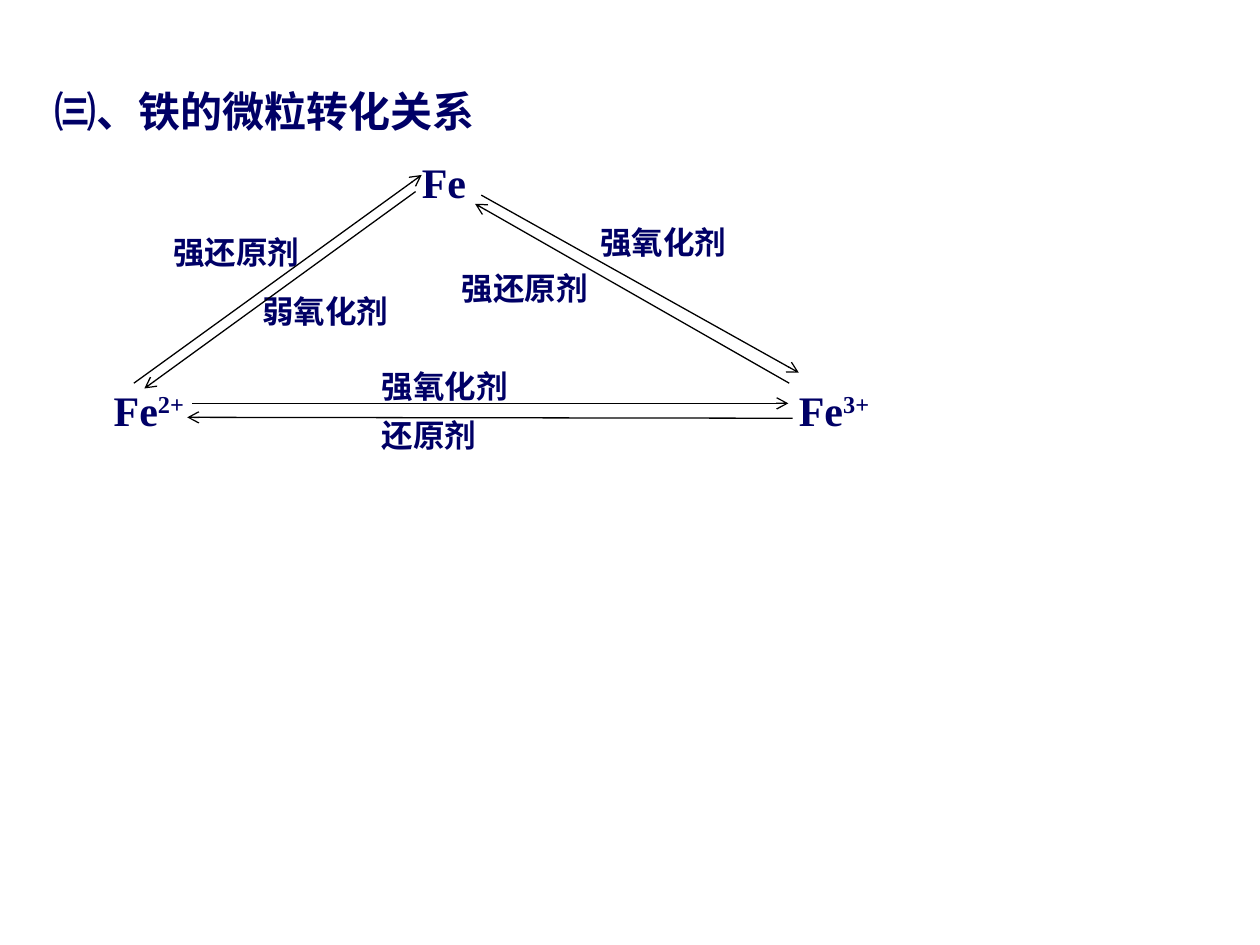
from pptx import Presentation
from pptx.dml.color import RGBColor as RGB
from pptx.enum.shapes import MSO_CONNECTOR as CONN, MSO_SHAPE as SHAPE
from pptx.enum.text import MSO_ANCHOR as ANCHOR, PP_ALIGN as ALIGN
from pptx.oxml.ns import qn
from pptx.util import Pt
from lxml.etree import SubElement

COLORS = {"text": "000066", "box": "FFFFFF", "line": "000000"}
TITLE = "㈢、铁的微粒转化关系"
TITLE_BOX = (24, 18, 672, 90)

# text, superscript, (left, top, width, height)
PARTICLES = [
    ("Fe", "", (241, 83, 34, 34)),
    ("Fe", "3+", (456.5, 213, 57, 40)),
    ("Fe", "2+", (65, 213, 45, 34)),
]
REAGENTS = [
    ("强还原剂", "", (99, 128, 85, 28)),
    ("弱氧化剂", "", (150, 162, 91, 34)),
    ("强还原剂", "", (264, 149, 73.5, 24.5)),
    ("强氧化剂", "", (218, 204.5, 73.5, 23)),
    ("强氧化剂", "", (343, 122.5, 73.5, 28)),
    ("还原剂", "", (218, 232.5, 57, 27)),
]
# tail x, tail y, point x, point y
ARROWS = [
    (275, 111.5, 456.5, 213),
    (451, 219, 271.5, 116.5),
    (110, 230.5, 450.5, 230.5),
    (453, 239, 107, 238.5),
    (76.5, 219, 241, 100),
    (237.5, 109.5, 82.5, 222),
]


def set_all(obj, values):
    for name, value in values.items():
        setattr(obj, name, value)


def place(sp, box):
    set_all(sp, dict(zip(("left", "top", "width", "height"), map(Pt, box))))


def add_run(p, text, size, font):
    r = p.add_run()
    r.text = text
    set_all(r.font, {"size": Pt(size), "name": font, "bold": True})
    r.font.color.rgb = RGB.from_string(COLORS["text"])
    return r


def add_label(s, text, sup, box, size):
    sp = s.shapes.add_shape(SHAPE.RECTANGLE, *map(Pt, box))
    sp.shadow.inherit = False
    sp.fill.solid()
    sp.fill.fore_color.rgb = RGB.from_string(COLORS["box"])
    sp.line.fill.background()
    tf = sp.text_frame
    set_all(tf, {"margin_left": 0, "margin_right": 0, "margin_top": Pt(0.7),
                 "margin_bottom": Pt(0.7), "word_wrap": True,
                 "vertical_anchor": ANCHOR.TOP})
    p = tf.paragraphs[0]
    set_all(p, {"alignment": ALIGN.JUSTIFY, "line_spacing": 1.2})
    add_run(p, text, size, "Times New Roman")
    if sup:
        r = add_run(p, sup, size, "Times New Roman")
        r.font._element.set("baseline", "30000")


def add_arrow(s, ends):
    line = s.shapes.add_connector(CONN.STRAIGHT, *map(Pt, ends))
    line.line.width = Pt(0.75)
    line.line.color.rgb = RGB.from_string(COLORS["line"])
    SubElement(line.line._get_or_add_ln(), qn("a:tailEnd"), type="arrow")
    SubElement(line._element.spPr, qn("a:effectLst"))


def main():
    prs = Presentation()
    set_all(prs, {"slide_width": Pt(720), "slide_height": Pt(540)})
    s = prs.slides.add_slide(prs.slide_layouts[5])

    title = s.shapes.title
    place(title, TITLE_BOX)
    set_all(title.text_frame, {"vertical_anchor": ANCHOR.MIDDLE, "word_wrap": True})
    p = title.text_frame.paragraphs[0]
    p.alignment = ALIGN.LEFT
    add_run(p, TITLE, 24, "Arial")

    for labels, size in ((REAGENTS, 18), (PARTICLES, 24)):
        for text, sup, box in labels:
            add_label(s, text, sup, box, size)
    for ends in ARROWS:
        add_arrow(s, ends)
    prs.save("out.pptx")


if __name__ == "__main__":
    main()
